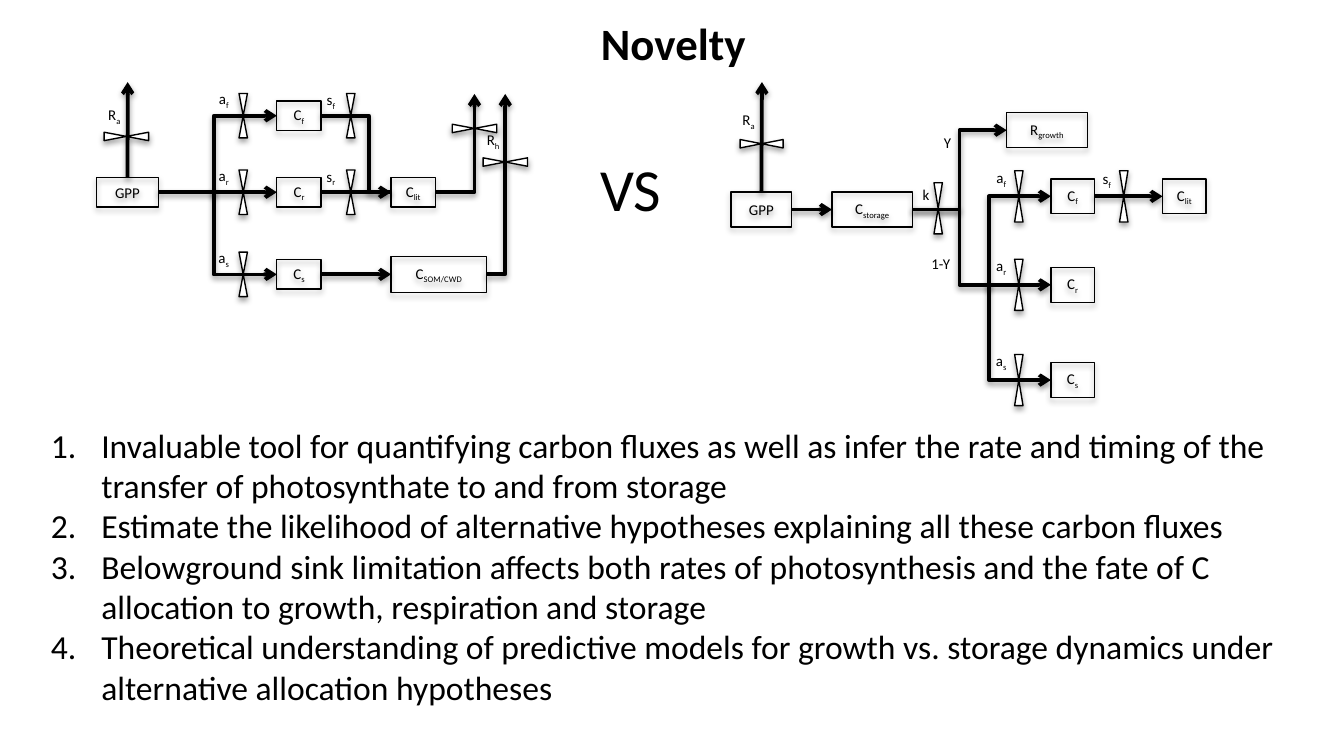
from typing import NamedTuple, Optional

from lxml import etree
from pptx import Presentation
from pptx.dml.color import RGBColor
from pptx.enum import shapes, text
from pptx.oxml import ns
from pptx.util import Pt

BLACK = RGBColor(0, 0, 0)
WHITE = RGBColor(255, 255, 255)
FONT = "Calibri"
TOP, LEFT, BOTTOM, RIGHT = range(4)


class Box(NamedTuple):
    name: str
    label: str
    left: float
    middle: float
    width: float
    height: float


class Link(NamedTuple):
    begin: tuple
    end: tuple
    preset: str = "line"
    turn: Optional[float] = None
    arrow: bool = True


class Branch(NamedTuple):
    x: float
    begin_y: float
    end_x: float
    end_y: float


class Valve(NamedTuple):
    x: float
    y: float
    length: float
    rotation: int = 0


class Label(NamedTuple):
    content: str
    x: float
    y: float


class Diagram(NamedTuple):
    boxes: list
    links: list
    branches: list
    valves: list
    labels: list


def write(paragraph, content, size=8, bold=False, align=text.PP_ALIGN.CENTER):
    paragraph.alignment = align
    for index, part in enumerate(content.split("_")):
        run = paragraph.add_run()
        run.text = part
        run.font.name, run.font.size, run.font.bold = FONT, Pt(size), bold
        run.font.color.rgb = BLACK
        if index:
            run._r.get_or_add_rPr().set("baseline", "-25000")


def add_xml(parent, tag, **attributes):
    values = {key: str(value) for key, value in attributes.items()}
    return etree.SubElement(parent, ns.qn(tag), values)


def cast_shadow(shape, distance: float, opacity: int) -> None:
    properties = shape._element.spPr
    effects = properties.find(ns.qn("a:effectLst"))
    if effects is None:
        effects = add_xml(properties, "a:effectLst")
    shadow = add_xml(effects, "a:outerShdw", blurRad=Pt(3.1), dist=Pt(distance),
                     dir=5400000, rotWithShape=0)
    color = add_xml(shadow, "a:srgbClr", val=BLACK)
    add_xml(color, "a:alpha", val=opacity * 1000)


def outline(shape) -> None:
    shape.shadow.inherit = False
    shape.line.color.rgb = BLACK
    shape.line.width = Pt(0.75)
    cast_shadow(shape, 1.8, 35)


def set_frame(frame) -> None:
    frame.margin_left = frame.margin_right = frame.margin_top = frame.margin_bottom = 0
    frame.vertical_anchor = text.MSO_ANCHOR.MIDDLE
    frame.word_wrap = False


def draw_box(group, box: Box):
    shape = group.shapes.add_shape(
        shapes.MSO_SHAPE.RECTANGLE, Pt(box.left), Pt(box.middle - box.height / 2),
        Pt(box.width), Pt(box.height))
    shape.fill.background()
    outline(shape)
    set_frame(shape.text_frame)
    write(shape.text_frame.paragraphs[0], box.label)
    return shape


def finish_connector(connector, arrow: bool = True) -> None:
    connector.line.color.rgb = BLACK
    connector.line.width = Pt(2)
    if arrow:
        add_xml(connector.line._get_or_add_ln(), "a:tailEnd", type="arrow")
    cast_shadow(connector, 1.6, 38)


def draw_link(group, link: Link, boxes: dict) -> None:
    kind = shapes.MSO_CONNECTOR.STRAIGHT if link.preset == "line" else shapes.MSO_CONNECTOR.ELBOW
    begin_name, begin_side = link.begin
    connector = group.shapes.add_connector(kind, 0, 0, 0, 0)
    connector.begin_connect(boxes[begin_name], begin_side)
    if isinstance(link.end[0], str):
        connector.end_connect(boxes[link.end[0]], link.end[1])
    else:
        connector.end_x, connector.end_y = Pt(link.end[0]), Pt(link.end[1])
    geometry = connector._element.spPr.find(ns.qn("a:prstGeom"))
    geometry.set("prst", link.preset)
    if link.turn is not None:
        guides = geometry.find(ns.qn("a:avLst"))
        add_xml(guides, "a:gd", name="adj1", fmla=f"val {round(link.turn * 100000)}")
    finish_connector(connector, link.arrow)


def draw_branch(group, branch: Branch) -> None:
    down = branch.end_y > branch.begin_y
    center_x = (branch.x + branch.end_x) / 2
    center_y = (branch.begin_y + branch.end_y) / 2
    half_width = abs(branch.end_y - branch.begin_y) / 2
    half_height = (branch.end_x - branch.x) / 2 * (1 if down else -1)
    connector = group.shapes.add_connector(
        shapes.MSO_CONNECTOR.ELBOW, Pt(center_x + half_width), Pt(center_y - half_height),
        Pt(center_x - half_width), Pt(center_y + half_height))
    properties = connector._element.spPr
    properties.find(ns.qn("a:xfrm")).set("rot", str((270 if down else 90) * 60000))
    properties.find(ns.qn("a:prstGeom")).set("prst", "bentConnector2")
    finish_connector(connector)


def draw_valve(group, valve: Valve) -> None:
    width = 4.5
    shape = group.shapes.add_shape(
        shapes.MSO_SHAPE.FLOWCHART_COLLATE, Pt(valve.x - width / 2),
        Pt(valve.y - valve.length / 2), Pt(width), Pt(valve.length))
    shape.rotation = valve.rotation
    shape.fill.solid()
    shape.fill.fore_color.rgb = WHITE
    outline(shape)


def draw_label(group, label: Label) -> None:
    width, height = 24, 14
    shape = group.shapes.add_textbox(
        Pt(label.x - width / 2), Pt(label.y - height / 2), Pt(width), Pt(height))
    set_frame(shape.text_frame)
    write(shape.text_frame.paragraphs[0], label.content)


def draw_diagram(slide, diagram: Diagram) -> None:
    group = slide.shapes.add_group_shape()
    boxes = {box.name: draw_box(group, box) for box in diagram.boxes}
    for link in diagram.links:
        draw_link(group, link, boxes)
    for branch in diagram.branches:
        draw_branch(group, branch)
    for valve in diagram.valves:
        draw_valve(group, valve)
    for label in diagram.labels:
        draw_label(group, label)


def pool_diagram() -> Diagram:
    rows = {"f": 62, "r": 103, "s": 147}
    boxes = [Box("GPP", "GPP", 51.8, rows["r"], 33.1, 15.8),
             Box("lit", "C_lit", 209.5, rows["r"], 23.8, 15.8),
             Box("som", "C_SOM/CWD", 209.5, rows["s"], 51.1, 19.4)]
    boxes += [Box(key, f"C_{key}", 148.3, y, 23.8, 15.8) for key, y in rows.items()]
    links = [Link(("GPP", RIGHT), ("r", LEFT)),
             Link(("GPP", TOP), (68.4, 44)),
             Link(("r", RIGHT), ("lit", LEFT)),
             Link(("s", RIGHT), ("som", LEFT)),
             Link(("f", RIGHT), ("lit", LEFT), "bentConnector3", 0.68, False),
             Link(("lit", RIGHT), (254.2, 50.4), "bentConnector2"),
             Link(("som", RIGHT), (270.7, 50.4), "bentConnector2")]
    branches = [Branch(114.5, 101.5, 148.3, rows["s"]), Branch(114.5, 105, 148.3, rows["f"])]
    valves = [Valve(130.3, y, 23.8) for y in rows.values()]
    valves += [Valve(187.9, rows[key], 23.8) for key in "fr"]
    valves += [Valve(x, y, 23.8, 90) for x, y in ((67.7, 73.1), (254.2, 68.8), (270.7, 86.8))]
    labels = [Label(f"a_{key}", 119.9, y - 8.3) for key, y in rows.items()]
    labels += [Label(f"s_{key}", 177.3, rows[key] - 8) for key in "fr"]
    labels += [Label("R_a", 61.2, 62), Label("R_h", 264.2, 75.6)]
    return Diagram(boxes, links, branches, valves, labels)


def storage_diagram() -> Diagram:
    rows = {"f": 105.2, "r": 152.6, "s": 203.6}
    boxes = [Box("GPP", "GPP", 391.7, 112.3, 32.4, 18.7),
             Box("storage", "C_storage", 445.7, 112.3, 43.2, 18.7),
             Box("growth", "R_growth", 539.3, 69.8, 43.2, 18.7),
             Box("lit", "C_lit", 622.8, rows["f"], 23.4, 18.7)]
    boxes += [Box(key, f"C_{key}", 563, y, 23.4, 18.7) for key, y in rows.items()]
    links = [Link(("GPP", RIGHT), ("storage", LEFT)),
             Link(("GPP", TOP), (408.2, 44)),
             Link(("f", RIGHT), ("lit", LEFT)),
             Link(("storage", RIGHT), ("r", LEFT), "bentConnector3", 0.34),
             Link(("storage", RIGHT), ("growth", LEFT), "bentConnector3", 0.5)]
    branches = [Branch(529.9, 151.2, 563, rows["s"]), Branch(529.9, 154.8, 563, rows["f"])]
    valves = [Valve(545.8, y, 27.4) for y in rows.values()]
    valves += [Valve(602, rows["f"], 27.4), Valve(502.6, 111.6, 27.4), Valve(408, 77, 23, 90)]
    labels = [Label(f"a_{key}", 536.4, y - 9.5) for key, y in rows.items()]
    labels += [Label("s_f", 592.9, 96.5), Label("k", 496.1, 104.4), Label("R_a", 401, 64.8),
               Label("Y", 507.6, 76.3), Label("1-Y", 504, 141.1)]
    return Diagram(boxes, links, branches, valves, labels)


POINTS = [
    "Invaluable tool for quantifying carbon fluxes as well as infer the rate and timing of the transfer of photosynthate to and from storage",
    "Estimate the likelihood of alternative hypotheses explaining all these carbon fluxes",
    "Belowground sink limitation affects both rates of photosynthesis and the fate of C allocation to growth, respiration and storage",
    "Theoretical understanding of predictive models for growth vs. storage dynamics under alternative allocation hypotheses",
]


def main() -> None:
    presentation = Presentation()
    presentation.slide_width, presentation.slide_height = Pt(720), Pt(405)
    slide = presentation.slides.add_slide(presentation.slide_layouts[5])
    title = slide.shapes.title
    title.left, title.top, title.width, title.height = Pt(15.8), Pt(2.9), Pt(689.8), Pt(35.3)
    title.text_frame.margin_top = Pt(8.6)
    title.text_frame.vertical_anchor = text.MSO_ANCHOR.MIDDLE
    write(title.text_frame.paragraphs[0], "Novelty", size=24, bold=True)

    draw_diagram(slide, pool_diagram())
    versus = slide.shapes.add_textbox(Pt(314.6), Pt(77.8), Pt(62.6), Pt(46))
    versus.text_frame.word_wrap = True
    write(versus.text_frame.paragraphs[0], "VS", size=32, align=text.PP_ALIGN.LEFT)

    listing = slide.shapes.add_textbox(Pt(20.2), Pt(223.9), Pt(692), Pt(159.8))
    frame = listing.text_frame
    frame.word_wrap = True
    for index, point in enumerate(POINTS):
        paragraph = frame.add_paragraph() if index else frame.paragraphs[0]
        properties = paragraph._p.get_or_add_pPr()
        properties.set("marL", str(Pt(27)))
        properties.set("indent", str(-Pt(27)))
        add_xml(properties, "a:buAutoNum", type="arabicPeriod")
        write(paragraph, point, size=18, align=text.PP_ALIGN.LEFT)
    draw_diagram(slide, storage_diagram())
    presentation.save("out.pptx")


if __name__ == "__main__":
    main()
